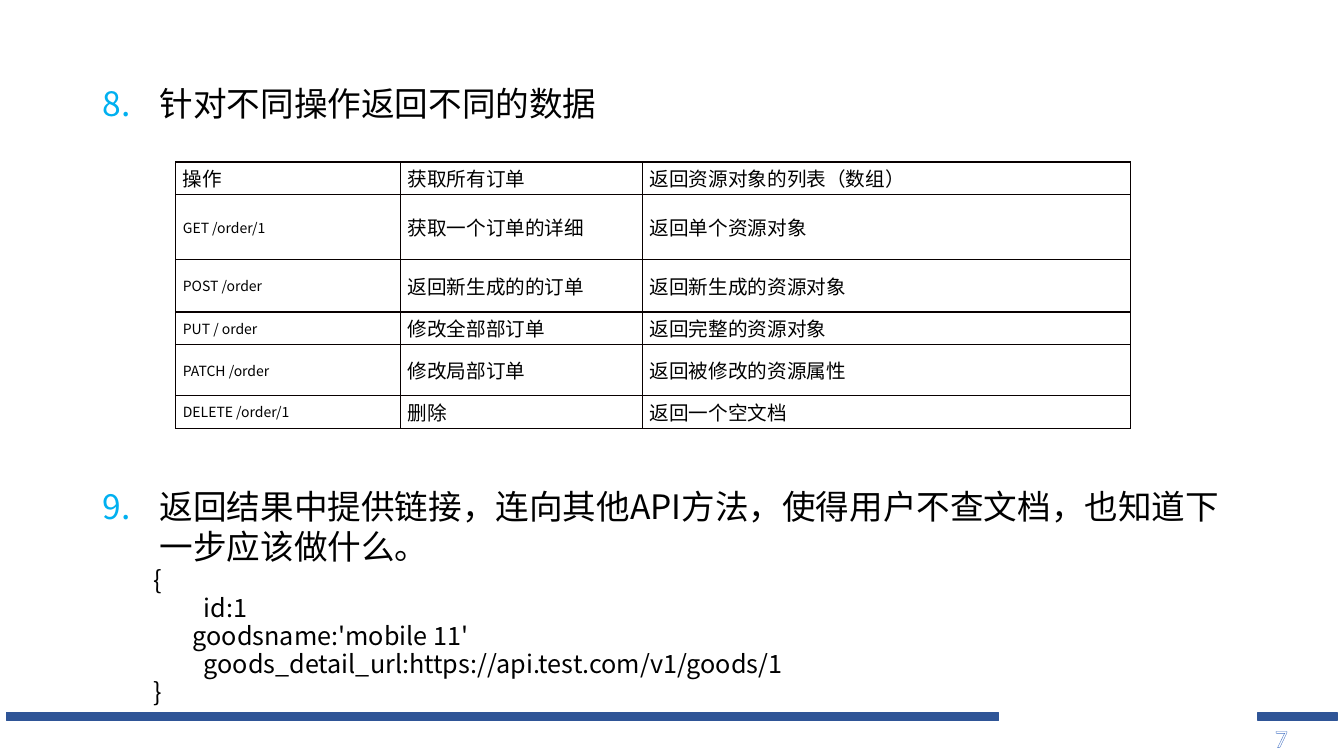
from dataclasses import dataclass

from lxml.etree import SubElement
from pptx import Presentation
from pptx.dml.color import RGBColor
from pptx.enum.dml import MSO_PATTERN
from pptx.enum.shapes import MSO_SHAPE
from pptx.enum.text import MSO_ANCHOR, MSO_AUTO_SIZE, PP_ALIGN
from pptx.oxml.ns import qn
from pptx.util import Cm, Pt

# Content
POINTS = [
    "针对不同操作返回不同的数据",
    "返回结果中提供链接，连向其他API方法，使得用户不查文档，也知道下一步应该做什么。",
]
FIRST_NUMBER = 8
CODE = [
    "{",
    "　　id:1",
    "       goodsname:'mobile 11'",
    "　　goods_detail_url:https://api.test.com/v1/goods/1",
    "}",
]
OPERATIONS = [
    ("操作", "获取所有订单", "返回资源对象的列表（数组）"),
    ("GET /order/1", "获取一个订单的详细", "返回单个资源对象"),
    ("POST /order", "返回新生成的的订单", "返回新生成的资源对象"),
    ("PUT / order", "修改全部部订单", "返回完整的资源对象"),
    ("PATCH /order", "修改局部订单", "返回被修改的资源属性"),
    ("DELETE /order/1", "删除", "返回一个空文档"),
]
COLUMN_WIDTHS = [5.66, 6.1, 12.29]
ROW_HEIGHTS = [0.83, 1.63, 1.32, 0.83, 1.27, 0.83]
FOOTER_BARS = [(0.17, 25), (31.7, 2)]  # left, width
PAGE_NUMBER = "7"


@dataclass(frozen=True)
class Theme:
    font: str = "Noto Sans CJK SC"
    number_font: str = "Calibri"
    text: str = "000000"
    bullet: str = "00B0F0"
    border: str = "080000"
    bar: str = "2F5597"
    number_pattern: str = "8FAADC"
    number_back: str = "FFFFFF"
    number_outline: str = "4472C4"
    point_size: float = 24
    code_size: float = 18
    cell_size: float = 14
    request_size: float = 10
    point_pitch: float = 28.6
    code_pitch: float = 20
    table_gap: float = 259


THEME = Theme()


def rgb(value):
    return RGBColor.from_string(value)


def add_solid(parent, color):
    fill = SubElement(parent, qn("a:solidFill"))
    SubElement(fill, qn("a:srgbClr"), val=color)


def add_run(paragraph, text, size):
    run = paragraph.add_run()
    run.text = text
    run.font.size = Pt(size)
    run.font.name = THEME.font
    run.font.color.rgb = rgb(THEME.text)
    SubElement(run.font._element, qn("a:ea"), typeface=THEME.font)


def format_line(paragraph, pitch, margin, indent=0):
    paragraph.alignment = PP_ALIGN.LEFT
    paragraph.line_spacing = Pt(pitch)
    paragraph.space_before = paragraph.space_after = Pt(0)
    properties = paragraph._p.get_or_add_pPr()
    properties.set("marL", str(Cm(margin)))
    properties.set("indent", str(Cm(indent)))
    return properties


def fill_body(body):
    body.left, body.top, body.width, body.height = Cm(2.34), Cm(1.98), Cm(29.21), Cm(16.1)
    frame = body.text_frame
    frame.word_wrap = True
    frame.auto_size = MSO_AUTO_SIZE.NONE
    frame.vertical_anchor = MSO_ANCHOR.TOP

    # Numbered points, with room for the table between them
    for index, point in enumerate(POINTS):
        paragraph = frame.add_paragraph() if index else frame.paragraphs[0]
        properties = format_line(paragraph, THEME.point_pitch, 1.43, -1.43)
        if index:
            paragraph.space_before = Pt(THEME.table_gap)
        bullet_color = SubElement(properties, qn("a:buClr"))
        SubElement(bullet_color, qn("a:srgbClr"), val=THEME.bullet)
        SubElement(properties, qn("a:buFont"), typeface=THEME.font)
        SubElement(properties, qn("a:buAutoNum"), type="arabicPeriod",
                   startAt=str(FIRST_NUMBER))
        add_run(paragraph, point, THEME.point_size)

    # Code sample
    for code_line in CODE:
        paragraph = frame.add_paragraph()
        paragraph.level = 1
        properties = format_line(paragraph, THEME.code_pitch, 1.27)
        SubElement(properties, qn("a:buNone"))
        add_run(paragraph, code_line, THEME.code_size)


def add_operations(slide):
    table = slide.shapes.add_table(
        len(OPERATIONS), len(COLUMN_WIDTHS), Cm(4.43), Cm(4.08),
        Cm(sum(COLUMN_WIDTHS)), Cm(sum(ROW_HEIGHTS))).table
    table.first_row = table.horz_banding = False
    for column, width in zip(table.columns, COLUMN_WIDTHS):
        column.width = Cm(width)
    for row, height in zip(table.rows, ROW_HEIGHTS):
        row.height = Cm(height)
    for r, operation in enumerate(OPERATIONS):
        for c, text in enumerate(operation):
            cell = table.cell(r, c)
            cell.vertical_anchor = MSO_ANCHOR.MIDDLE
            cell.margin_left = cell.margin_right = Cm(0.18)
            cell.margin_top = cell.margin_bottom = 0
            properties = cell._tc.get_or_add_tcPr()
            for side in ("lnL", "lnR", "lnT", "lnB"):
                add_solid(SubElement(properties, qn(f"a:{side}"), w=str(Pt(1))), THEME.border)
            cell.fill.background()
            is_request = r > 0 and c == 0
            add_run(cell.text_frame.paragraphs[0], text,
                    THEME.request_size if is_request else THEME.cell_size)


def add_footer(slide):
    for left, width in FOOTER_BARS:
        bar = slide.shapes.add_shape(
            MSO_SHAPE.RECTANGLE, Cm(left), Cm(17.96), Cm(width), Cm(0.2))
        bar.shadow.inherit = False
        bar.fill.solid()
        bar.fill.fore_color.rgb = rgb(THEME.bar)
        bar.line.color.rgb = rgb(THEME.bar)
        bar.line.width = Pt(1)

    # Page number in outlined, hatched digits
    page = slide.shapes.add_textbox(Cm(31.88), Cm(18.08), Cm(1.83), Cm(1.02))
    page.text_frame.word_wrap = True
    digits = page.text_frame.paragraphs[0].add_run()
    digits.text = PAGE_NUMBER
    digits.font.size = Pt(THEME.code_size)
    digits.font.name = THEME.number_font
    outline = SubElement(digits.font._element, qn("a:ln"), w=str(Pt(1)))
    add_solid(outline, THEME.number_outline)
    digits.font._element.insert(0, outline)
    hatch = digits.font.fill
    hatch.patterned()
    hatch.pattern = MSO_PATTERN.LIGHT_DOWNWARD_DIAGONAL
    hatch.fore_color.rgb = rgb(THEME.number_pattern)
    hatch.back_color.rgb = rgb(THEME.number_back)


def main():
    deck = Presentation()
    deck.slide_width, deck.slide_height = Cm(33.87), Cm(19.05)
    slide = deck.slides.add_slide(deck.slide_layouts[1])
    title = slide.shapes.title._element
    title.getparent().remove(title)
    fill_body(slide.placeholders[1])
    add_operations(slide)
    add_footer(slide)
    deck.save("out.pptx")


if __name__ == "__main__":
    main()
